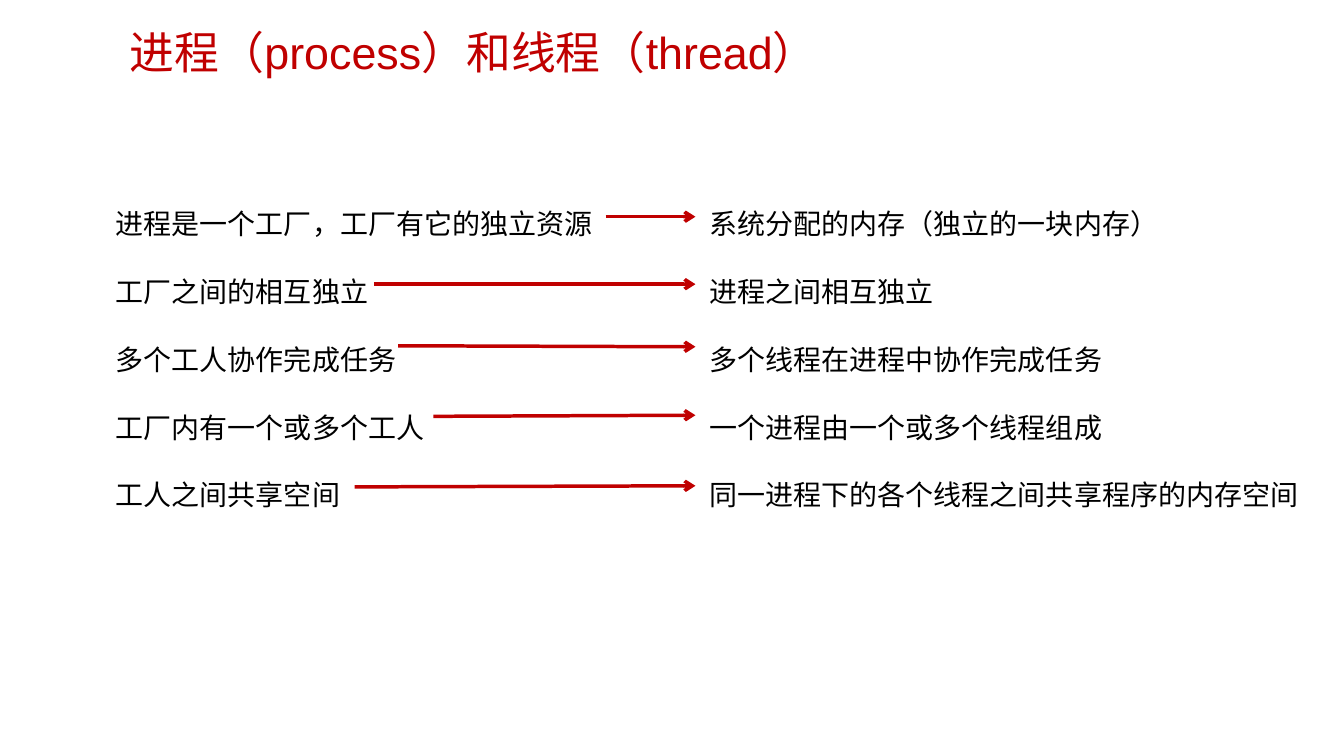
from lxml.etree import SubElement
from pptx import Presentation
from pptx.dml.color import RGBColor
from pptx.enum.shapes import MSO_CONNECTOR
from pptx.enum.text import MSO_AUTO_SIZE
from pptx.oxml.ns import qn
from pptx.util import Pt

RED = RGBColor(0xC0, 0x00, 0x00)
BLACK = RGBColor(0x00, 0x00, 0x00)
TITLE_FONT = "Arial"
BODY_FONT = "Noto Sans CJK SC"
ROW_PITCH = 48.5
RIGHT_COLUMN = 424.1
RIGHT_WIDTH = 441.4
LEFT_WIDTH = 650.9
ARROW_END = 421.2

FACTORY_LINES = [
    "进程是一个工厂，工厂有它的独立资源",
    "工厂之间的相互独立",
    "多个工人协作完成任务",
    "工厂内有一个或多个工人",
    "工人之间共享空间",
]
PROCESS_LINES = [
    "系统分配的内存（独立的一块内存）",
    "进程之间相互独立",
    "多个线程在进程中协作完成任务",
    "一个进程由一个或多个线程组成",
    "同一进程下的各个线程之间共享程序的内存空间",
]
ARROWS = [
    (357.1, 37.4, 37.4),
    (191.5, 85.6, 85.6),
    (208.8, 129.6, 130.3),
    (234, 180, 179.2),
    (177.8, 230.4, 229.6),
]


def add_lines(page, left, top, width, height, lines, font, size, color, spacing):
    """Add a wrapped text box with one paragraph per line and return it."""
    box = page.shapes.add_textbox(Pt(left), Pt(top), Pt(width), Pt(height))
    box.text_frame.word_wrap = True
    box.text_frame.text = "\n".join(lines)
    for para in box.text_frame.paragraphs:
        para.line_spacing = spacing
        for span in para.runs:
            span.font.name = font
            span.font.size = Pt(size)
            span.font.color.rgb = color
            if font == BODY_FONT:
                SubElement(span.font._element, qn("a:ea")).set("typeface", font)
    return box


def add_arrow(page, start_x, start_y, end_x, end_y):
    """Draw a red arrow between two points."""
    arrow = page.shapes.add_connector(
        MSO_CONNECTOR.STRAIGHT, Pt(start_x), Pt(start_y), Pt(end_x), Pt(end_y))
    arrow.line.color.rgb = RED
    arrow.line.width = Pt(2.5)
    SubElement(arrow.line._get_or_add_ln(), qn("a:tailEnd")).set("type", "arrow")
    SubElement(arrow._element.spPr, qn("a:effectLst"))


def add_title(page, left, top, width, height):
    """Place the slide heading."""
    add_lines(page, left, top, width, height, ["进程（process）和线程（thread）"],
              TITLE_FONT, 32, RED, 0.9)


def add_comparison(page, left, top, height):
    """Place the factory and process columns and the arrows joining them."""
    columns = [(0, LEFT_WIDTH, FACTORY_LINES),
               (RIGHT_COLUMN, RIGHT_WIDTH, PROCESS_LINES)]
    for offset, width, lines in columns:
        box = add_lines(page, left + offset, top, width, height, lines,
                        BODY_FONT, 20, BLACK, Pt(ROW_PITCH))
        box.text_frame.margin_top = Pt(5.5)
        box.text_frame.margin_bottom = Pt(1.7)
        box.text_frame.auto_size = MSO_AUTO_SIZE.SHAPE_TO_FIT_TEXT
    for start_x, start_y, end_y in ARROWS:
        add_arrow(page, left + start_x, top + start_y, left + ARROW_END, top + end_y)


deck = Presentation()
deck.slide_width, deck.slide_height = Pt(960), Pt(540)
page = deck.slides.add_slide(deck.slide_layouts[6])
add_title(page, 85.7, 18.7, 645, 38.9)
add_comparison(page, 75.6, 117.4, 249.8)
deck.save("out.pptx")
